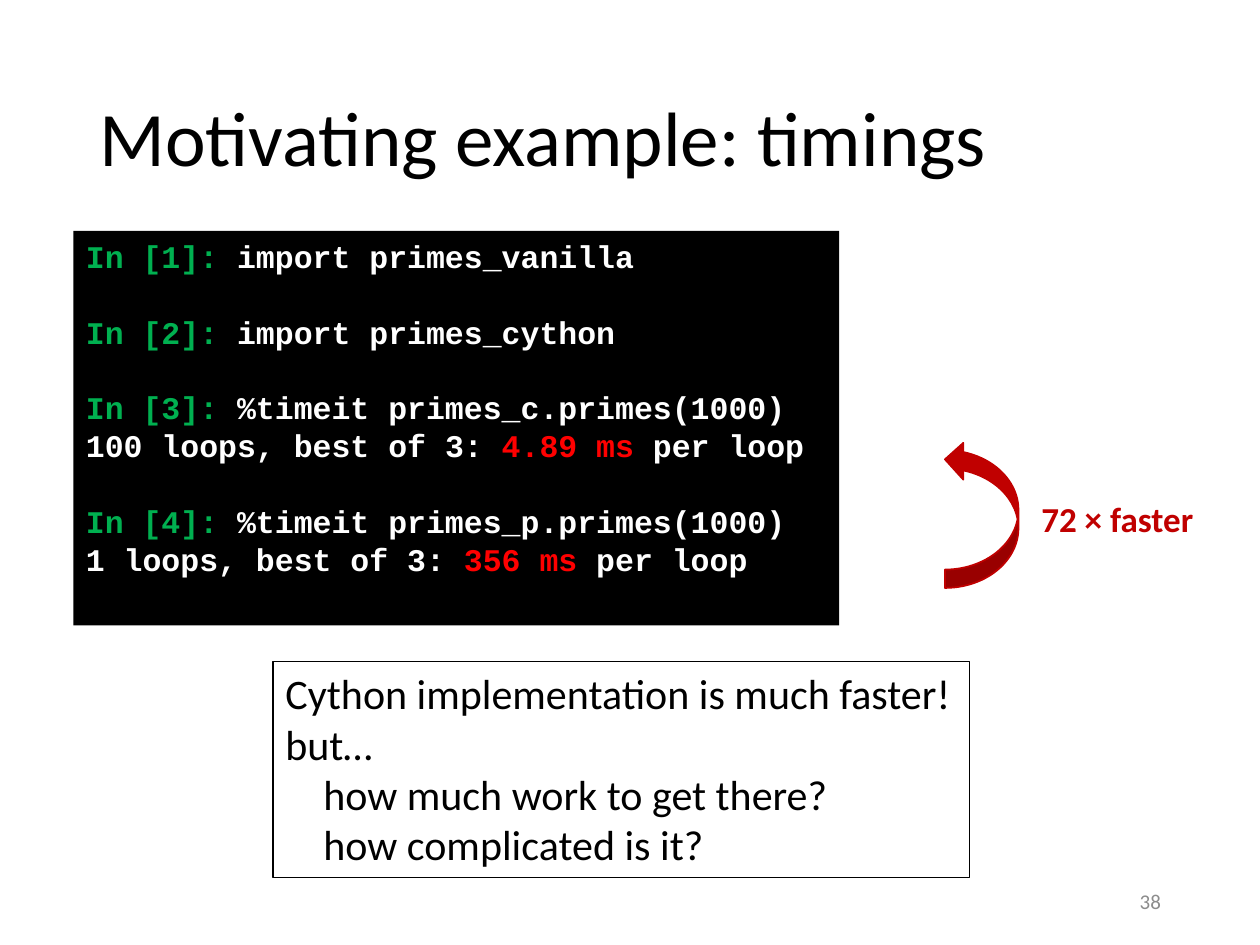
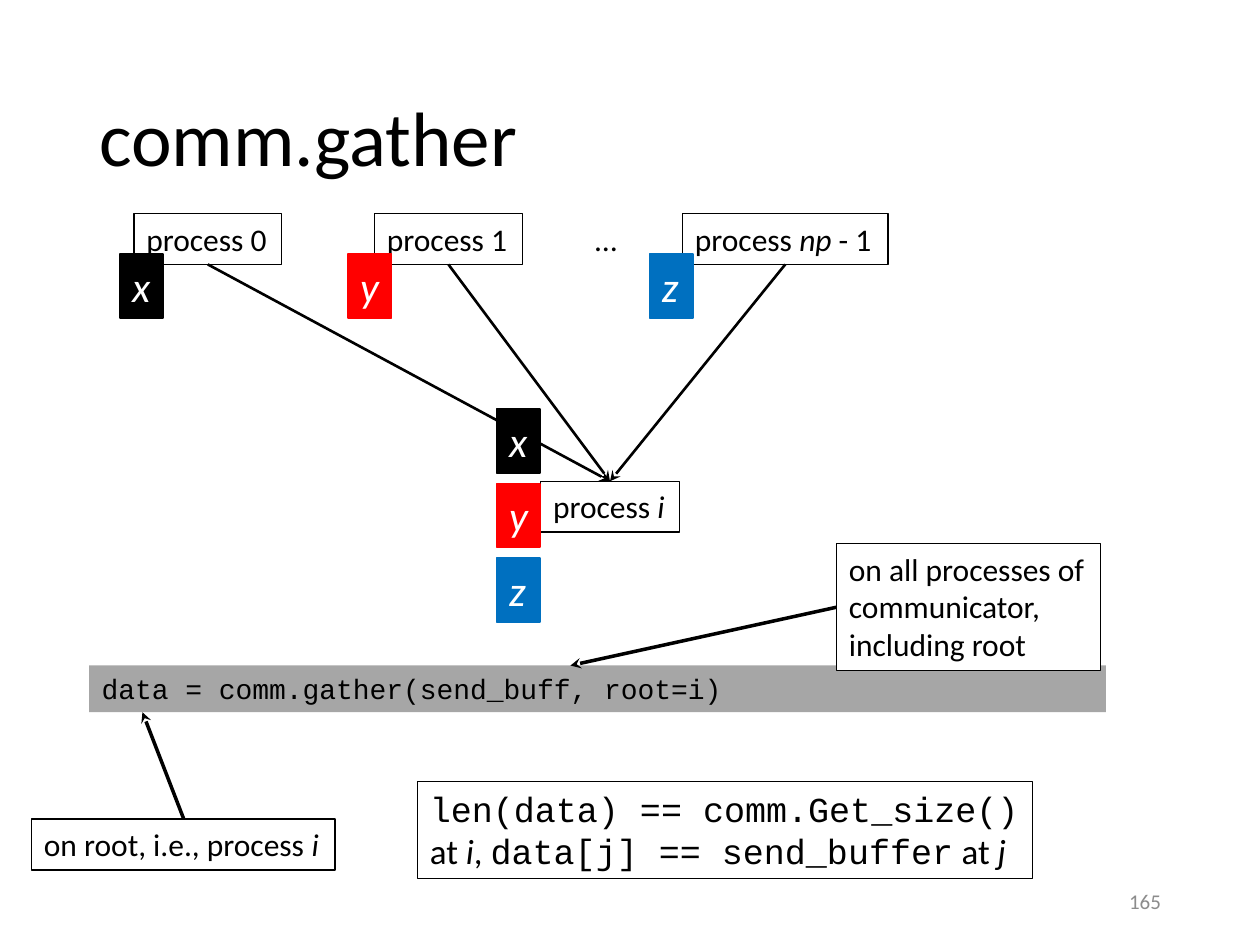
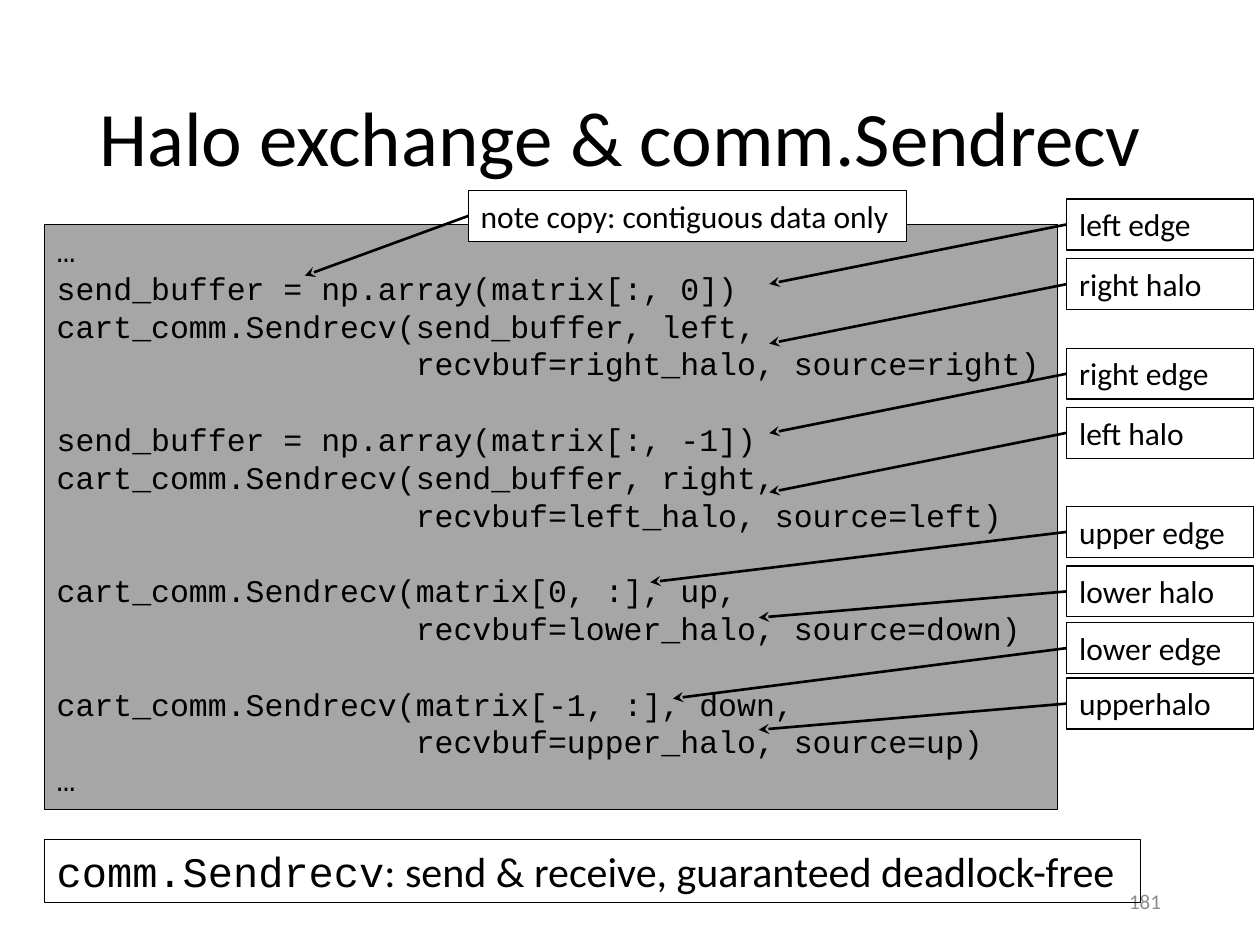
"""Build three slides on Cython timings and MPI communication."""
from dataclasses import dataclass
from typing import NamedTuple

from lxml import etree
from pptx import Presentation
from pptx.dml.color import RGBColor
from pptx.enum import shapes, text
from pptx.oxml import ns
from pptx.slide import Slide
from pptx.text.text import TextFrame
from pptx.util import Pt


@dataclass(frozen=True)
class Theme:
    sans: str = "Calibri"
    mono: str = "Courier New"
    black: str = "000000"
    white: str = "FFFFFF"
    red: str = "FF0000"
    blue: str = "0070C0"
    green: str = "00B050"
    crimson: str = "C00000"
    panel: str = "A6A6A6"
    muted: str = "8C8C8C"
    title: float = 44
    large: float = 24
    medium: float = 20
    body: float = 18
    code: float = 16
    number: float = 12
    thin: float = 0.75
    code_gap: float = 21.6


THEME = Theme()


class Run(NamedTuple):
    text: str
    color: str = THEME.black
    font: str = THEME.sans
    bold: bool = False
    italic: bool = False


class Line(NamedTuple):
    runs: tuple[Run, ...]
    before: float = 0
    indent: float = 0


class Point(NamedTuple):
    x: float
    y: float


@dataclass(frozen=True)
class Box:
    left: float
    top: float
    width: float
    height: float
    lines: list[Line]
    size: float = THEME.body
    fill: str | None = None
    border: str | None = THEME.black
    border_width: float = THEME.thin
    wrap: bool = False
    anchor: text.MSO_ANCHOR = text.MSO_ANCHOR.TOP
    align: text.PP_ALIGN = text.PP_ALIGN.LEFT


class Callout(NamedTuple):
    label: str
    top: float
    reach: Point


def plain(*texts: str, color: str = THEME.black) -> list[Line]:
    """Make one unstyled line per text."""
    return [Line((Run(words, color),)) for words in texts]


def code_lines(source: str) -> list[Line]:
    """Make code lines, turning blank ones into space before the next."""
    blocks = [block.split("\n") for block in source.split("\n\n")]
    return [
        Line((Run(row, font=THEME.mono),), THEME.code_gap if block_index and not row_index else 0)
        for block_index, block in enumerate(blocks)
        for row_index, row in enumerate(block)
    ]


def prompt(number: int, command: str) -> Line:
    """Make an interactive input line."""
    return Line(
        (
            Run(f"In [{number}]:", THEME.green, THEME.mono, True),
            Run(f" {command}", THEME.white, THEME.mono, True),
        ),
        THEME.code_gap if number > 1 else 0,
    )


def timing(loops: str, duration: str) -> Line:
    """Make a timing result line with its duration highlighted."""
    parts = ((f"{loops}, best of 3: ", THEME.white), (duration, THEME.red), (" per loop", THEME.white))
    return Line(tuple(Run(words, color, THEME.mono, True) for words, color in parts))


def write(frame: TextFrame, lines: list[Line], size: float, align: text.PP_ALIGN) -> None:
    """Fill a text frame with formatted lines."""
    for index, line in enumerate(lines):
        paragraph = frame.add_paragraph() if index else frame.paragraphs[0]
        paragraph.alignment = align
        if line.before:
            paragraph.space_before = Pt(line.before)
        if line.indent:
            paragraph._p.get_or_add_pPr().set("marL", str(Pt(line.indent)))
        for item in line.runs:
            run = paragraph.add_run()
            run.text = item.text
            formats = {"name": item.font, "size": Pt(size), "bold": item.bold, "italic": item.italic}
            for name, value in formats.items():
                setattr(run.font, name, value)
            run.font.color.rgb = RGBColor.from_string(item.color)


def draw_box(slide: Slide, box: Box) -> None:
    """Draw a text box with optional fill and border."""
    shape = slide.shapes.add_textbox(Pt(box.left), Pt(box.top), Pt(box.width), Pt(box.height))
    if box.fill:
        shape.fill.solid()
        shape.fill.fore_color.rgb = RGBColor.from_string(box.fill)
    if box.border:
        shape.line.color.rgb = RGBColor.from_string(box.border)
        shape.line.width = Pt(box.border_width)
    sizing = text.MSO_AUTO_SIZE.NONE if box.wrap else text.MSO_AUTO_SIZE.SHAPE_TO_FIT_TEXT
    formats = {"word_wrap": box.wrap, "auto_size": sizing, "vertical_anchor": box.anchor}
    for name, value in formats.items():
        setattr(shape.text_frame, name, value)
    write(shape.text_frame, box.lines, box.size, box.align)


def draw_arrow(slide: Slide, start: Point, end: Point, width: float = 1.5) -> None:
    """Draw a straight line with a stealth arrowhead at its end."""
    arrow = slide.shapes.add_connector(
        shapes.MSO_CONNECTOR.STRAIGHT, Pt(start.x), Pt(start.y), Pt(end.x), Pt(end.y)
    )
    arrow.line.color.rgb = RGBColor.from_string(THEME.black)
    arrow.line.width = Pt(width)
    etree.SubElement(arrow.line._get_or_add_ln(), ns.qn("a:tailEnd"), type="stealth")
    etree.SubElement(arrow._element.spPr, ns.qn("a:effectLst"))


def draw_token(slide: Slide, letter: str, color: str, left: float, top: float) -> None:
    """Draw a coloured data item."""
    lines = [Line((Run(letter, THEME.white, italic=True),))]
    draw_box(slide, Box(left, top, 25, 36.35, lines, THEME.large, color, color, 1))


def add_slide(presentation: Presentation, title: str, number: int) -> Slide:
    """Add a slide with its title and page number."""
    slide = presentation.slides.add_slide(presentation.slide_layouts[5])
    heading = slide.shapes.title
    place = {"left": 49.5, "top": 28.75, "width": 621, "height": 104.4}
    for name, value in place.items():
        setattr(heading, name, Pt(value))
    frame = heading.text_frame
    formats = {"auto_size": text.MSO_AUTO_SIZE.NONE, "vertical_anchor": text.MSO_ANCHOR.MIDDLE}
    for name, value in formats.items():
        setattr(frame, name, value)
    write(frame, plain(title), THEME.title, text.PP_ALIGN.LEFT)
    frame.paragraphs[0].line_spacing = 0.9
    draw_box(slide, Box(
        508.5, 500.5, 162, 28.75, plain(str(number), color=THEME.muted), THEME.number,
        border=None, wrap=True, anchor=text.MSO_ANCHOR.MIDDLE, align=text.PP_ALIGN.RIGHT,
    ))
    return slide


def build_timings(presentation: Presentation) -> None:
    """Build the slide comparing run times."""
    slide = add_slide(presentation, "Motivating example: timings", 38)
    session = [
        prompt(1, "import primes_vanilla"),
        prompt(2, "import primes_cython"),
        prompt(3, "%timeit primes_c.primes(1000)"),
        timing("100 loops", "4.89 ms"),
        prompt(4, "%timeit primes_p.primes(1000)"),
        timing("1 loops", "356 ms"),
    ]
    draw_box(slide, Box(42, 132, 437.5, 225.4, session, fill=THEME.black, border=None, wrap=True))
    arrow = slide.shapes.add_shape(
        shapes.MSO_SHAPE.CURVED_LEFT_ARROW, Pt(540), Pt(252), Pt(42), Pt(84)
    )
    arrow.shadow.inherit = False
    arrow.fill.solid()
    for color in (arrow.fill.fore_color, arrow.line.color):
        color.rgb = RGBColor.from_string(THEME.crimson)
    arrow.line.width = Pt(1)
    arrow._element.spPr.xfrm.set("flipV", "1")
    speedup = [Line((Run("72 × faster", THEME.crimson, bold=True),))]
    draw_box(slide, Box(588, 281, 103, 31.5, speedup, THEME.medium, border=None))
    questions = [
        line._replace(indent=21.7)
        for line in plain("how much work to get there?", "how complicated is it?")
    ]
    verdict = plain("Cython implementation is much faster!", "but…") + questions
    draw_box(slide, Box(156, 378, 398, 123.6, verdict, THEME.large))


def build_gather(presentation: Presentation) -> None:
    """Build the slide explaining the gather operation."""
    slide = add_slide(presentation, "comm.gather", 165)
    top, height = 122, 29.1
    last = [Line((Run("process "), Run("np", italic=True), Run(" - 1")))]
    processes = [(76.5, 84.5, plain("process 0")), (214, 84.5, plain("process 1")), (390, 117.5, last)]
    root = Point(348.6, 275)
    for left, width, lines in processes:
        draw_box(slide, Box(left, top, width, height, lines))
        draw_arrow(slide, Point(left + width / 2, top + height), root)
    root_label = [Line((Run("process "), Run("i", italic=True)))]
    draw_box(slide, Box(309, root.y, 79.2, height, root_label))
    draw_box(slide, Box(333, top, 27, height, plain("…"), border=None))

    tokens = [("x", THEME.black, 68.4), ("y", THEME.red, 198.7), ("z", THEME.blue, 371.2)]
    for index, (letter, color, left) in enumerate(tokens):
        draw_token(slide, letter, color, left, 145.3)
        draw_token(slide, letter, color, 283.8, 233.8 + 42.6 * index)

    call = code_lines("data = comm.gather(send_buff, root=i)")
    draw_box(slide, Box(51, 380.3, 581, 26.65, call, THEME.code, THEME.panel, None, wrap=True))
    everyone = plain("on all processes of", "communicator,", "including root")
    draw_box(slide, Box(478, 310.5, 150.8, 72.7, everyone, fill=THEME.white))
    draw_arrow(slide, Point(478, 347), Point(326, 380.3), 2)
    on_root = [Line((Run("on root, i.e., process "), Run("i", italic=True)))]
    draw_box(slide, Box(18, 468, 173.5, height, on_root, fill=THEME.white))
    draw_arrow(slide, Point(105, 468), Point(81.4, 407), 2)
    result = code_lines("len(data) == comm.Get_size()") + [
        Line((
            Run("at "),
            Run("i", italic=True),
            Run(", "),
            Run("data[j] == send_buffer", font=THEME.mono),
            Run(" at "),
            Run("j", italic=True),
        ))
    ]
    draw_box(slide, Box(238.5, 446.5, 351.4, 55.7, result, THEME.medium))


HALO_CODE = """…
send_buffer = np.array(matrix[:, 0])
cart_comm.Sendrecv(send_buffer, left,
                   recvbuf=right_halo, source=right)

send_buffer = np.array(matrix[:, -1])
cart_comm.Sendrecv(send_buffer, right,
                   recvbuf=left_halo, source=left)

cart_comm.Sendrecv(matrix[0, :], up,
                   recvbuf=lower_halo, source=down)

cart_comm.Sendrecv(matrix[-1, :], down,
                   recvbuf=upper_halo, source=up)
…"""


def build_halo(presentation: Presentation) -> None:
    """Build the slide annotating the halo exchange code."""
    slide = add_slide(presentation, "Halo exchange & comm.Sendrecv", 181)
    draw_box(slide, Box(25.3, 128.4, 579, 334.3, code_lines(HALO_CODE), fill=THEME.panel, wrap=True))
    column, reach, low_reach = 609.6, Point(-170, 34), Point(-176, 15)
    callouts = [
        Callout("left edge", 113.7, reach),
        Callout("right halo", 147.8, reach),
        Callout("right edge", 199, reach),
        Callout("left halo", 232.8, reach),
        Callout("upper edge", 289.4, Point(-238, 28.8)),
        Callout("lower halo", 323.4, low_reach),
        Callout("lower edge", 355.8, Point(-225, 28.8)),
        Callout("upperhalo", 387.5, low_reach),
    ]
    height = 29.1
    for callout in callouts:
        label = plain(callout.label)
        draw_box(slide, Box(column, callout.top, 106.6, height, label, fill=THEME.white, wrap=True))
        start = Point(column, callout.top + height / 2)
        draw_arrow(slide, start, Point(start.x + callout.reach.x, start.y + callout.reach.y))
    summary = [Line((
        Run("comm.Sendrecv", font=THEME.mono),
        Run(": send & receive, guaranteed deadlock-free"),
    ))]
    draw_box(slide, Box(25.3, 479.6, 626.4, 36.35, summary, THEME.large))
    note = plain("note copy: contiguous data only")
    draw_box(slide, Box(267.6, 109, 250.6, height, note, fill=THEME.white))
    draw_arrow(slide, Point(267.6, 123.4), Point(174.2, 157.5))


def main() -> None:
    """Build and save the presentation."""
    presentation = Presentation()
    presentation.slide_width, presentation.slide_height = Pt(720), Pt(540)
    for build in (build_timings, build_gather, build_halo):
        build(presentation)
    presentation.save("out.pptx")


if __name__ == "__main__":
    main()
